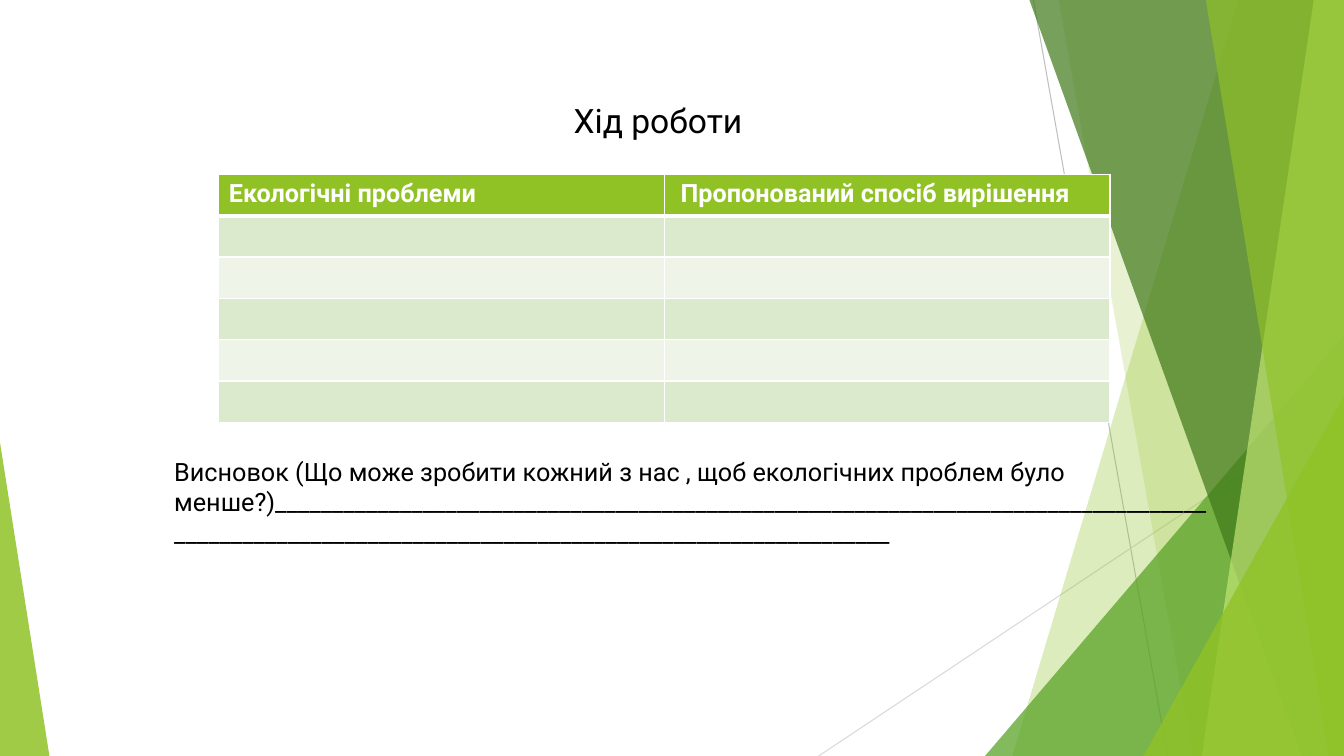
from lxml import etree
from pptx import Presentation
from pptx.dml.color import RGBColor
from pptx.enum.shapes import MSO_CONNECTOR, MSO_SHAPE
from pptx.oxml.ns import qn
from pptx.util import Inches, Pt

STRAIGHT = MSO_CONNECTOR.STRAIGHT
TRIANGLE = MSO_SHAPE.ISOSCELES_TRIANGLE

WIDTH, HEIGHT = 13.33, 7.5
COLORS = {
    "lime": "90C226", "green": "54A021", "forest": "3F7819", "pale": "C0E474",
    "dark band": "DBE9CD", "light band": "EEF4E8", "white": "FFFFFF",
    "black": "000000", "gray": "BFBFBF", "light gray": "D9D9D9",
}

TITLE = "Хід роботи"
HEADERS = ["Екологічні проблеми", "Пропонований спосіб вирішення"]
HEADER_INDENTS = [0.1, 0.16]
CONCLUSION = ("Висновок (Що може зробити кожний з нас , щоб екологічних "
              "проблем було менше?)" + "_" * 145)

# Start, end, color
THIN_LINES = [
    ((10.25, 0), (11.58, HEIGHT), "gray"),
    ((WIDTH, 4.03), (8.12, HEIGHT), "light gray"),
]
# Bands reach the right edge: ("band", top x, bottom x, color, opacity %)
# Triangles stand on the bottom edge: ("triangle", left, width, height, apex, color, opacity %)
FACETS = [
    ("band", 12.28, 10.04, "lime", 30),
    ("band", 10.5, 11.83, "lime", 20),
    ("triangle", 9.77, 3.56, 4.17, 1, "green", 72),
    ("band", 10.21, 12.91, "forest", 70),
    ("band", 13.03, 11.92, "pale", 70),
    ("band", 11.96, 13.18, "lime", 65),
    ("triangle", 11.34, 1.99, 3.57, 1, "lime", 80),
    ("triangle", 0, 0.49, 3.11, 0, "lime", 85),
]
TABLE_LEFT, TABLE_TOP = 2.17, 1.73
COLUMN_WIDTH, ROW_HEIGHT, ROW_COUNT = 4.42, 0.41, 6


def rgb(name):
    return RGBColor.from_string(COLORS[name])


def add_thin_line(slide, start, end, color):
    line = slide.shapes.add_connector(STRAIGHT, *map(Inches, start + end))
    line.line.color.rgb = rgb(color)
    line.line.width = Pt(0.75)
    etree.SubElement(line._element.spPr, qn("a:effectLst"))


def paint(shape, color, opacity):
    shape.shadow.inherit = False
    shape.line.fill.background()
    shape.fill.solid()
    shape.fill.fore_color.rgb = rgb(color)
    color_element = shape._element.spPr.find(qn("a:solidFill"))[0]
    etree.SubElement(color_element, qn("a:alpha"), val=str(opacity * 1000))


def add_band(slide, top_x, bottom_x, color, opacity):
    corners = [(Inches(x), Inches(y)) for x, y in
               [(top_x, 0), (WIDTH, 0), (WIDTH, HEIGHT), (bottom_x, HEIGHT)]]
    builder = slide.shapes.build_freeform(*corners[0])
    builder.add_line_segments(corners[1:], close=True)
    paint(builder.convert_to_shape(), color, opacity)


def add_triangle(slide, left, width, height, apex, color, opacity):
    shape = slide.shapes.add_shape(
        TRIANGLE, *map(Inches, (left, HEIGHT - height, width, height)))
    shape.adjustments[0] = apex
    paint(shape, color, opacity)


def write(text_frame, text, size, color="black", bold=False):
    paragraph = text_frame.paragraphs[0]
    run = paragraph.add_run()
    run.text = text
    font_format = {"name": "Roboto", "size": Pt(size), "bold": bold}
    for attribute, value in font_format.items():
        setattr(run.font, attribute, value)
    run.font.color.rgb = rgb(color)


def add_text(slide, box, text, size):
    text_frame = slide.shapes.add_textbox(*map(Inches, box)).text_frame
    text_frame.word_wrap = True
    write(text_frame, text, size)


def add_borders(cell, bottom_width):
    """Draw white borders, placed ahead of the cell fill as the schema asks."""
    properties = cell._tc.get_or_add_tcPr()
    widths = {"a:lnL": 1, "a:lnR": 1, "a:lnT": 1, "a:lnB": bottom_width}
    for index, (tag, width) in enumerate(widths.items()):
        border = etree.Element(qn(tag), w=str(Pt(width)))
        fill = etree.SubElement(border, qn("a:solidFill"))
        etree.SubElement(fill, qn("a:srgbClr"), val=COLORS["white"])
        properties.insert(index, border)


def add_problem_table(slide):
    columns = len(HEADERS)
    table = slide.shapes.add_table(
        ROW_COUNT, columns, Inches(TABLE_LEFT), Inches(TABLE_TOP),
        Inches(COLUMN_WIDTH * columns), Inches(ROW_HEIGHT * ROW_COUNT)).table
    table.horz_banding = False
    for row_index, row in enumerate(table.rows):
        row.height = Inches(ROW_HEIGHT)
        band = "dark band" if row_index % 2 else "light band"
        for cell in row.cells:
            cell.fill.solid()
            cell.fill.fore_color.rgb = rgb(band if row_index else "lime")
            add_borders(cell, 1 if row_index else 3)
    for index, (header, indent) in enumerate(zip(HEADERS, HEADER_INDENTS)):
        table.columns[index].width = Inches(COLUMN_WIDTH)
        cell = table.cell(0, index)
        cell.margin_left = Inches(indent)
        write(cell.text_frame, header, 18, "white", True)
    for index in range(columns):
        top_cell = table.cell(1, index)
        top_border = top_cell._tc.tcPr.find(qn("a:lnT"))
        top_border.set("w", str(Pt(3)))


def main():
    presentation = Presentation()
    presentation.slide_width = Inches(WIDTH)
    presentation.slide_height = Inches(HEIGHT)
    slide = presentation.slides.add_slide(presentation.slide_layouts[6])
    for line in THIN_LINES:
        add_thin_line(slide, *line)
    add_facet = {"band": add_band, "triangle": add_triangle}
    for kind, *values in FACETS:
        add_facet[kind](slide, *values)
    add_problem_table(slide)
    add_text(slide, (1.63, 4.48, 10.54, 1.01), CONCLUSION, 18)
    add_text(slide, (5.59, 0.94, 4.29, 0.5), TITLE, 24)
    presentation.save("out.pptx")


if __name__ == "__main__":
    main()
